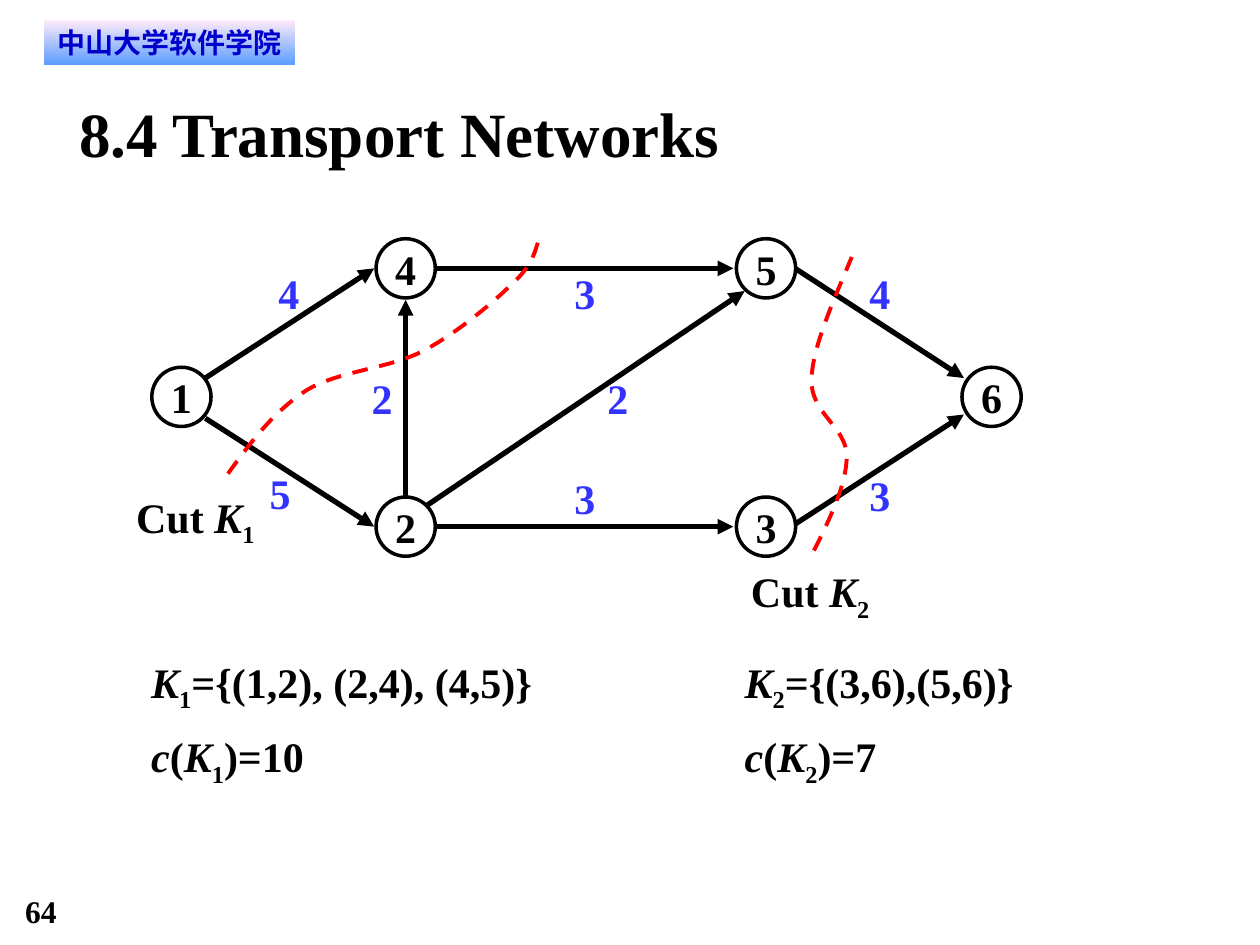
from lxml import etree
from pptx import Presentation, util as u
from pptx.dml.color import RGBColor
from pptx.enum import dml, shapes, text
from pptx.oxml.ns import qn

COLORS = {"ink": "000000", "weight": "3333FF", "cut": "FF0000",
          "badge": "0000CC", "pink": "FFEBFA", "blue": "5E9EFF"}
SERIF, SANS = "Times New Roman", "DejaVu Sans"

# Network: nodes sit on a grid of four columns and three rows
COLUMNS = (1.44, 3.22, 6.08, 7.87)
ROWS = (2.13, 3.15, 4.18)
DIAMETER = 0.47
NODES = {1: (0, 1), 2: (1, 2), 3: (2, 2), 4: (1, 0), 5: (2, 0), 6: (3, 1)}

# Edges: from, to, offsets of both ends from the node centres
EDGES = [
    (1, 4, (0.19, -0.15), (-0.25, 0)),
    (1, 2, (0.19, 0.17), (-0.25, 0)),
    (4, 5, (0.24, 0), (-0.26, 0)),
    (2, 4, (0, -0.23), (0, 0.25)),
    (2, 5, (0.17, -0.17), (-0.17, 0.18)),
    (2, 3, (0.24, 0), (-0.26, 0)),
    (5, 6, (0.23, 0), (-0.22, -0.15)),
    (3, 6, (0.23, -0.02), (-0.22, 0.14)),
]
WEIGHTS = [("4", 2.21, 2.12), ("5", 2.14, 3.71), ("2", 2.95, 2.96), ("2", 4.82, 2.96),
           ("4", 6.9, 2.12), ("3", 6.9, 3.73), ("3", 4.56, 2.12), ("3", 4.56, 3.75)]

# Cuts: start point, then Bezier segments of two handles and an end
CUTS = [
    [(1.81, 3.76),
     (1.99, 3.51), (2.17, 3.27), (2.43, 3.1),
     (2.69, 2.94), (3.09, 2.93), (3.37, 2.78),
     (3.65, 2.63), (3.95, 2.37), (4.1, 2.22),
     (4.25, 2.07), (4.25, 1.96), (4.28, 1.9)],
    [(6.46, 4.37),
     (6.59, 4.11), (6.72, 3.84), (6.72, 3.62),
     (6.72, 3.39), (6.43, 3.28), (6.44, 3.01),
     (6.45, 2.75), (6.61, 2.4), (6.76, 2.04)],
]
CURVE_STEPS = 16

# Per cut: index, edge set, capacity, caption place, formula place
CUT_NOTES = [
    ("1", "={(1,2), (2,4), (4,5)}", "10", (1.08, 3.9, 0.95, 0.46), (1.2, 5.07, 3.04, 1.18)),
    ("2", "={(3,6),(5,6)}", "7", (5.96, 4.49, 0.95, 0.46), (5.91, 5.07, 2.15, 1.18)),
]


def rgb(name):
    return RGBColor.from_string(COLORS[name])


def write(shape, lines, size=24, color="ink", font=SERIF, align=None, spacing=None,
          wrap=True, margins=(0, 0), anchor=text.MSO_ANCHOR.TOP):
    """Fill a shape with lines of (text, style) runs; style is "", "italic" or "sub"."""
    frame = shape.text_frame
    frame.word_wrap = wrap
    frame.vertical_anchor = anchor
    frame.margin_left = frame.margin_right = u.Inches(margins[0])
    frame.margin_top = frame.margin_bottom = u.Inches(margins[1])
    for number, runs in enumerate(lines):
        para = frame.add_paragraph() if number else frame.paragraphs[0]
        para.alignment = align
        para.line_spacing = spacing
        for words, style in runs:
            span = para.add_run()
            span.text = words
            span.font.size = u.Pt(size)
            span.font.bold = True
            span.font.italic = style == "italic"
            span.font.color.rgb = rgb(color)
            span.font.name = font
            props = span._r.get_or_add_rPr()
            etree.SubElement(props, qn("a:ea")).set("typeface", font)
            if style == "sub":
                props.set("baseline", "-25000")


def add_text(page, place, lines, **style):
    box = page.shapes.add_textbox(*map(u.Inches, place))
    write(box, lines, **style)


def add_node(page, label, center):
    left, top = (value - DIAMETER / 2 for value in center)
    node = page.shapes.add_shape(shapes.MSO_SHAPE.OVAL,
                                 *map(u.Inches, (left, top, DIAMETER, DIAMETER)))
    node.shadow.inherit = False
    node.fill.background()
    node.line.color.rgb = rgb("ink")
    node.line.width = u.Pt(2)
    write(node, [[(label, "")]], align=text.PP_ALIGN.CENTER, wrap=False,
          anchor=text.MSO_ANCHOR.MIDDLE)


def add_arrow(page, start, end):
    arrow = page.shapes.add_connector(shapes.MSO_CONNECTOR.STRAIGHT,
                                      *map(u.Inches, (*start, *end)))
    arrow.line.color.rgb = rgb("ink")
    arrow.line.width = u.Pt(3)
    etree.SubElement(arrow.line._get_or_add_ln(), qn("a:tailEnd")).set("type", "triangle")
    etree.SubElement(arrow._element.spPr, qn("a:effectLst"))


def curve_points(points):
    """Sample a chain of cubic Bezier segments, without its first point."""
    for first in range(0, len(points) - 1, 3):
        segment = points[first:first + 4]
        for step in range(1, CURVE_STEPS + 1):
            t = step / CURVE_STEPS
            shares = ((1 - t) ** 3, 3 * t * (1 - t) ** 2, 3 * t * t * (1 - t), t ** 3)
            yield tuple(u.Inches(sum(share * point[axis] for share, point in zip(shares, segment)))
                        for axis in (0, 1))


def add_cut(page, points):
    builder = page.shapes.build_freeform(*map(u.Inches, points[0]))
    builder.add_line_segments(list(curve_points(points)), close=False)
    cut = builder.convert_to_shape()
    cut.shadow.inherit = False
    cut.fill.background()
    cut.line.color.rgb = rgb("cut")
    cut.line.width = u.Pt(2.25)
    cut.line.dash_style = dml.MSO_LINE.DASH


def add_badge(page):
    badge = page.shapes.add_shape(shapes.MSO_SHAPE.RECTANGLE,
                                  *map(u.Inches, (0.35, 0.16, 1.99, 0.35)))
    badge.shadow.inherit = False
    badge.line.fill.background()
    badge.fill.gradient()
    badge.fill.gradient_angle = 270
    for stop, name in zip(badge.fill.gradient_stops, ("pink", "blue")):
        stop.color.rgb = rgb(name)
    write(badge, [[("中山大学软件学院", "")]], size=16, color="badge", font=SANS,
          align=text.PP_ALIGN.CENTER, margins=(0.08, 0.04))


def main():
    deck = Presentation()
    deck.slide_width, deck.slide_height = u.Inches(10), u.Inches(7.5)
    page = deck.slides.add_slide(deck.slide_layouts[6])

    # Page number, badge and title
    add_text(page, (0.2, 7.08, 0.75, 0.3), [[("64", "")]], size=18)
    add_badge(page)
    add_text(page, (0.63, 0.75, 8.75, 0.6), [[("8.4 Transport Networks", "")]], size=36)

    # Network
    centers = {name: (COLUMNS[column], ROWS[row]) for name, (column, row) in NODES.items()}
    for name, center in centers.items():
        add_node(page, str(name), center)
    for source, target, leave, arrive in EDGES:
        start, end = ([a + b for a, b in zip(centers[name], offset)]
                      for name, offset in ((source, leave), (target, arrive)))
        add_arrow(page, start, end)
    for weight, left, top in WEIGHTS:
        add_text(page, (left, top, 0.17, 0.4), [[(weight, "")]], color="weight", wrap=False)

    # Cuts with captions and capacities
    for points in CUTS:
        add_cut(page, points)
    for index, edges, capacity, caption, formula in CUT_NOTES:
        symbol = [("K", "italic"), (index, "sub")]
        add_text(page, caption, [[("Cut ", ""), *symbol]])
        add_text(page, formula, [
            [*symbol, (edges, "")],
            [("c", "italic"), ("(", ""), *symbol, (f")={capacity}", "")],
        ], spacing=1.3)

    deck.save("out.pptx")


if __name__ == "__main__":
    main()
